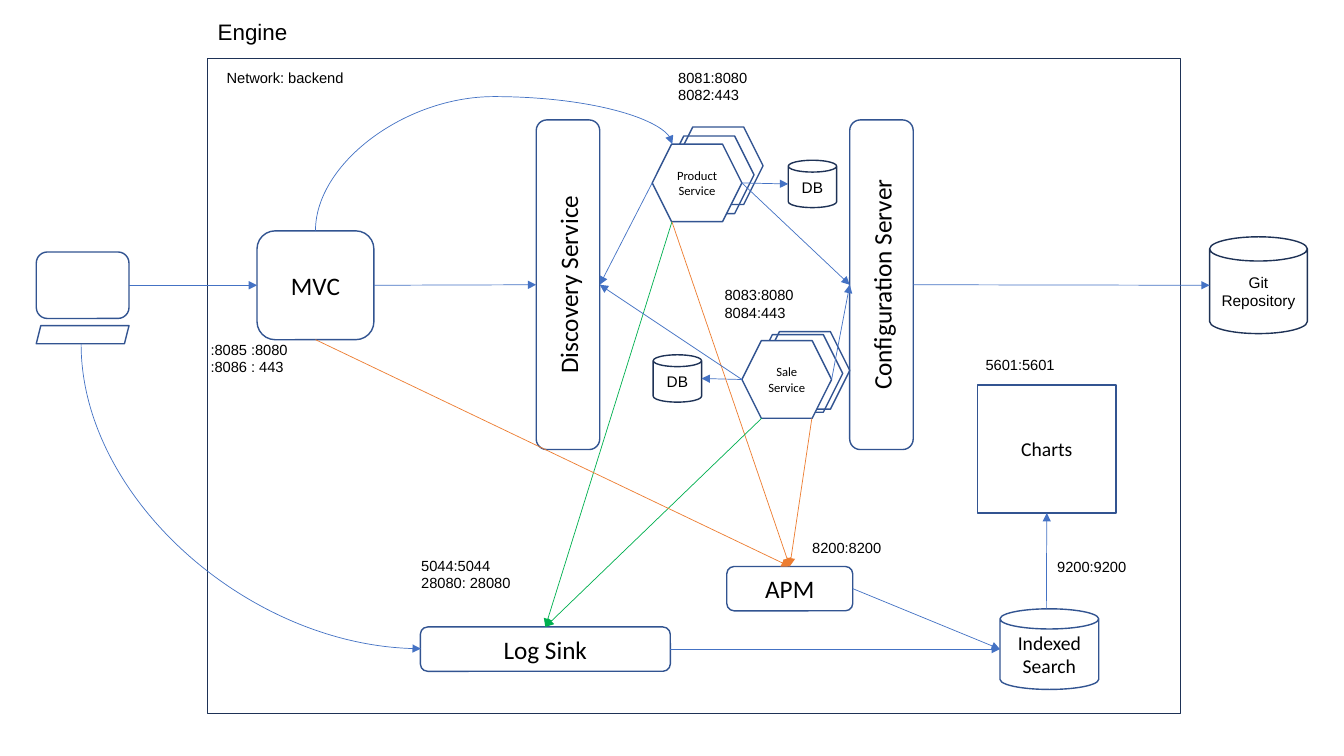
import pptx
import pptx.dml.color
import pptx.enum.shapes
import pptx.enum.text
import pptx.oxml
import pptx.oxml.ns
import pptx.util

CELL = pptx.util.Inches(0.1)
COLUMNS, ROWS = 133.33, 75
NAVY, DARK, BLUE = "325491", "1E3256", "4472C4"
GREEN, ORANGE, WHITE, BLACK = "00B050", "ED7D31", "FFFFFF", "000000"
KIND = pptx.enum.shapes.MSO_SHAPE
CURVE = pptx.enum.shapes.MSO_CONNECTOR.CURVE
STRAIGHT = pptx.enum.shapes.MSO_CONNECTOR.STRAIGHT
ALIGN = pptx.enum.text.PP_ALIGN
ANCHOR = pptx.enum.text.MSO_ANCHOR
FIT = pptx.enum.text.MSO_AUTO_SIZE
SITES = ["top", "left", "bottom", "right"]
SPOTS = {
    "top": (0.5, 0), "left": (0, 0.5), "bottom": (0.5, 1), "right": (1, 0.5),
    "lower left": (0.22, 1), "lower right": (0.78, 1), "lid": (0.47, 0),
}


def grid(*cells):
    return [round(c * CELL) for c in cells]


def color(code):
    return pptx.dml.color.RGBColor.from_string(code)


def write(tf, lines, size, font, align):
    for i, line in enumerate(lines):
        p = tf.paragraphs[0] if i == 0 else tf.add_paragraph()
        p.alignment = align
        r = p.add_run()
        r.text = line
        r.font.size = pptx.util.Pt(size)
        r.font.name = font
        r.font.color.rgb = color(BLACK)


def node(s, kind, box, lines=(), size=18, font="Calibri", line=NAVY, fill=None, upright=False):
    sp = s.shapes.add_shape(kind, *grid(*box))
    sp.shadow.inherit = False
    if fill:
        sp.fill.solid()
        sp.fill.fore_color.rgb = color(fill)
    else:
        sp.fill.background()
    sp.line.color.rgb = color(line)
    sp.line.width = pptx.util.Pt(1)
    tf = sp.text_frame
    tf.vertical_anchor = ANCHOR.MIDDLE
    if upright:
        tf._txBody.bodyPr.set("vert", "vert270")
    write(tf, lines, size, font, ALIGN.CENTER)
    return sp


def store(s, box, *lines):
    return node(s, KIND.CAN, box, lines, 11, "Arial", DARK)


def service(s, name, *corners):
    for x, y in corners:
        front = (x, y) == corners[-1]
        sp = node(s, KIND.HEXAGON, (x, y, 8.9, 7.7), [name] if front else [],
                  9, fill=WHITE if front else None)
    return sp


def label(s, box, *lines):
    tf = s.shapes.add_textbox(*grid(*box)).text_frame
    tf.word_wrap = False
    tf.auto_size = FIT.SHAPE_TO_FIT_TEXT
    write(tf, lines, 10.5, "Arial", ALIGN.LEFT)


def heading(s, box, text):
    sp = s.shapes.title
    sp.left, sp.top, sp.width, sp.height = grid(*box)
    tf = sp.text_frame
    tf.word_wrap = False
    tf.auto_size = FIT.NONE
    tf.vertical_anchor = ANCHOR.TOP
    write(tf, [text], 16, "Arial", ALIGN.LEFT)


def arrow(cxn, code):
    cxn.line.color.rgb = color(code)
    cxn.line.width = pptx.util.Pt(0.5)
    pptx.oxml.ns.qn("a:tailEnd")
    ln = cxn.line._get_or_add_ln()
    ln.append(ln.makeelement(pptx.oxml.ns.qn("a:tailEnd"), {"type": "triangle"}))
    spPr = cxn._element.spPr
    spPr.append(spPr.makeelement(pptx.oxml.ns.qn("a:effectLst"), {}))


def place(sp, spot):
    fx, fy = SPOTS[spot]
    return round(sp.left + fx * sp.width), round(sp.top + fy * sp.height)


def joins(sp, spot):
    return spot in SITES and sp.auto_shape_type in (KIND.RECTANGLE, KIND.ROUNDED_RECTANGLE)


def link(s, start, spot, end, end_spot, code=BLUE):
    cxn = s.shapes.add_connector(STRAIGHT, *place(start, spot), *place(end, end_spot))
    if joins(start, spot):
        cxn.begin_connect(start, SITES.index(spot))
    if joins(end, end_spot):
        cxn.end_connect(end, SITES.index(end_spot))
    arrow(cxn, code)


def curve(s, box, preset, turn, flips, bend=None):
    x, y, w, h = box
    cxn = s.shapes.add_connector(CURVE, *grid(x, y, x + w, y + h))
    spPr = cxn._element.spPr
    xfrm = spPr.find(pptx.oxml.ns.qn("a:xfrm"))
    xfrm.set("rot", str(turn * 60000))
    for flip in flips:
        xfrm.set(flip, "1")
    geom = spPr.find(pptx.oxml.ns.qn("a:prstGeom"))
    geom.set("prst", preset)
    if bend:
        guide = {"name": "adj1", "fmla": f"val {bend}"}
        av = geom.find(pptx.oxml.ns.qn("a:avLst"))
        av.append(av.makeelement(pptx.oxml.ns.qn("a:gd"), guide))
    arrow(cxn, BLUE)


def main():
    prs = pptx.Presentation()
    prs.slide_width, prs.slide_height = grid(COLUMNS, ROWS)
    s = prs.slides.add_slide(prs.slide_layouts[5])
    box = KIND.ROUNDED_RECTANGLE

    heading(s, (20.6, 1.3, 9.1, 3.7), "Engine")
    node(s, KIND.RECTANGLE, (20.6, 5.8, 96.5, 65), line=DARK)
    sale = service(s, "Sale Service", (75.4, 32.9), (74.7, 33.2), (73.6, 33.8))
    product = service(s, "Product Service", (66.8, 12.6), (65.9, 13.5), (64.7, 14.3))
    config = node(s, box, (84.3, 11.9, 6.3, 32.7), ["Configuration Server"], upright=True)
    discovery = node(s, box, (53.2, 11.9, 6.3, 32.7), ["Discovery Service"], upright=True)
    product_db = store(s, (78.2, 15.9, 4.8, 4.7), "DB")
    sale_db = store(s, (64.8, 35.2, 4.8, 4.7), "DB")
    repository = store(s, (120, 23.5, 9.7, 9.6), "Git", "Repository")
    mvc = node(s, box, (25.5, 22.9, 11.6, 10.8), ["MVC"])
    screen = node(s, box, (3.6, 25, 9.2, 6.6))
    node(s, KIND.PARALLELOGRAM, (3.6, 32.3, 9.2, 1.8))
    logs = node(s, box, (41.7, 62.2, 24.8, 4.4), ["Log Sink"], fill=WHITE)
    search = node(s, KIND.CAN, (99.2, 60.4, 9.8, 8), ["Indexed Search"], 14, fill=WHITE)
    charts = node(s, KIND.RECTANGLE, (97, 38.2, 13.7, 12.7), ["Charts"], 14)
    apm = node(s, box, (72.1, 56.2, 12.5, 4.4), ["APM"])

    label(s, (21.5, 6.3, 13.8, 2.8), "Network: backend")
    label(s, (19.9, 33.3, 9.8, 4.5), ":8085 :8080", ":8086 : 443")
    label(s, (66.3, 6.3, 9, 4.5), "8081:8080", "8082:443")
    label(s, (70.9, 27.9, 9, 4.5), "8083:8080", "8084:443")
    label(s, (40.8, 54.7, 11.1, 4.5), "5044:5044", "28080: 28080")
    label(s, (96.8, 34.8, 9, 2.8), "5601:5601")
    label(s, (103.9, 54.8, 9, 2.8), "9200:9200")
    label(s, (79.6, 53, 9, 2.8), "8200:8200")

    link(s, screen, "right", mvc, "left")
    link(s, mvc, "right", discovery, "left")
    link(s, config, "right", repository, "left")
    link(s, logs, "right", search, "left")
    link(s, apm, "right", search, "left")
    link(s, search, "lid", charts, "bottom")
    link(s, product, "right", product_db, "left")
    link(s, sale, "left", sale_db, "right")
    for unit, corner in ((product, "lower left"), (sale, "lower right")):
        link(s, unit, "right", config, "left")
        link(s, unit, "left", discovery, "right")
        link(s, unit, "lower left", logs, "top", GREEN)
        link(s, unit, corner, apm, "top", ORANGE)
    link(s, mvc, "bottom", apm, "top", ORANGE)
    curve(s, (44.7, 0.9, 8.6, 35.4), "curvedConnector3", 90, ["flipH", "flipV"], 154800)
    curve(s, (9.8, 32.4, 30.2, 33.7), "curvedConnector2", 270, ["flipH"])

    prs.save("out.pptx")


if __name__ == "__main__":
    main()
